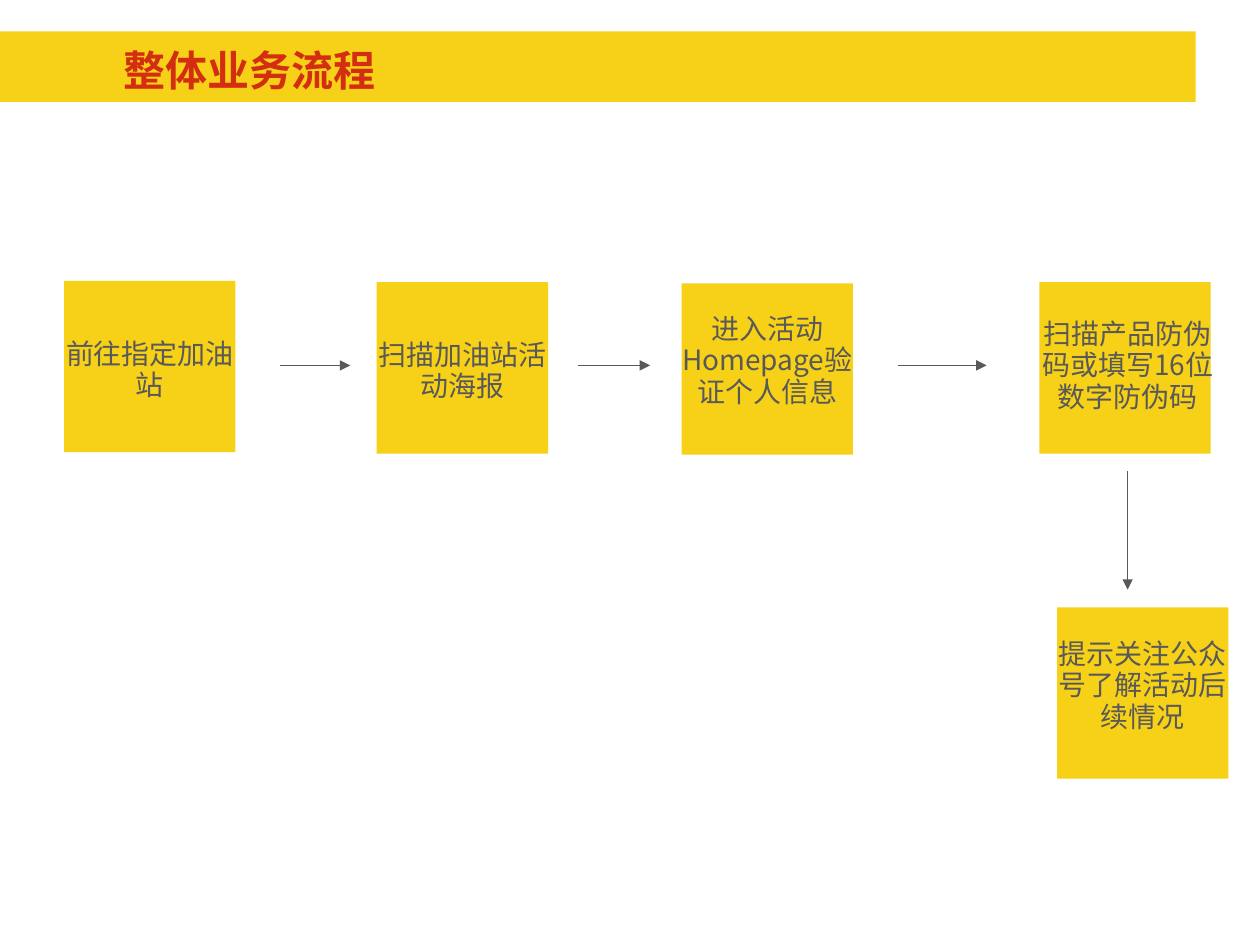
from typing import NamedTuple

from lxml.etree import SubElement
from pptx import Presentation
from pptx.dml.color import RGBColor
from pptx.enum.shapes import MSO_CONNECTOR, MSO_SHAPE
from pptx.enum.text import MSO_ANCHOR, MSO_AUTO_SIZE, PP_ALIGN
from pptx.oxml.ns import qn
from pptx.util import Inches, Pt

COLORS = {"yellow": "F7D117", "red": "D42E12", "gray": "595959"}
TITLE_FONT = "Quicksand"
BODY_FONT = "Noto Sans CJK SC"
STEP_SIZE = 1.36
LABEL_HEIGHT = 0.79
ARROW_Y = 2.9
ARROW_X = 8.95


class Step(NamedTuple):
    left: float
    top: float
    label: str
    label_left: float
    label_top: float
    label_width: float


class Arrow(NamedTuple):
    x1: float
    y1: float
    x2: float
    y2: float


STEPS = [
    Step(0.51, 2.23, "前往指定加油站", 0.51, 2.69, 1.36),
    Step(2.99, 2.24, "扫描加油站活动海报", 3.0, 2.7, 1.34),
    Step(5.41, 2.25, "进入活动Homepage验证个人信息", 5.39, 2.49, 1.4),
    Step(8.25, 2.24, "扫描产品防伪码或填写16位数字防伪码", 8.25, 2.53, 1.4),
    Step(8.39, 4.82, "提示关注公众号了解活动后续情况", 8.37, 5.07, 1.4),
]
ARROWS = [
    Arrow(2.22, ARROW_Y, 2.78, ARROW_Y),
    Arrow(4.59, ARROW_Y, 5.16, ARROW_Y),
    Arrow(7.13, ARROW_Y, 7.83, ARROW_Y),
    Arrow(ARROW_X, 3.74, ARROW_X, 4.68),
]


def rgb(color: str) -> RGBColor:
    return RGBColor.from_string(COLORS[color])


def add_block(slide, left: float, top: float, width: float, height: float):
    block = slide.shapes.add_shape(
        MSO_SHAPE.RECTANGLE, Inches(left), Inches(top), Inches(width), Inches(height)
    )
    block.shadow.inherit = False
    block.fill.solid()
    block.fill.fore_color.rgb = rgb("yellow")
    block.line.fill.background()
    return block


def write_text(frame, text: str, font_name: str, size: int, color: str, bold: bool):
    """Fill a margin-free frame with one paragraph and return that paragraph."""
    frame.margin_left = frame.margin_right = 0
    frame.margin_top = frame.margin_bottom = 0
    frame.word_wrap = True
    frame.auto_size = MSO_AUTO_SIZE.NONE
    paragraph = frame.paragraphs[0]
    paragraph.text = text
    font = paragraph.font
    font.name = font_name
    font.size = Pt(size)
    font.bold = bold
    font.color.rgb = rgb(color)
    return paragraph


def add_title(slide, text: str) -> None:
    title = slide.shapes.title
    title.left, title.top = Inches(0.98), Inches(0.32)
    title.width, title.height = Inches(8.42), Inches(0.46)
    paragraph = write_text(title.text_frame, text, TITLE_FONT, 24, "red", True)
    paragraph.alignment = PP_ALIGN.LEFT
    title.text_frame.vertical_anchor = MSO_ANCHOR.MIDDLE
    band = add_block(slide, 0, 0.25, 9.49, 0.56)
    title.element.addprevious(band.element)


def add_step(slide, step: Step) -> None:
    add_block(slide, step.left, step.top, STEP_SIZE, STEP_SIZE)
    label = slide.shapes.add_textbox(
        Inches(step.label_left), Inches(step.label_top),
        Inches(step.label_width), Inches(LABEL_HEIGHT),
    )
    paragraph = write_text(label.text_frame, step.label, BODY_FONT, 16, "gray", False)
    paragraph.alignment = PP_ALIGN.CENTER
    paragraph.line_spacing = 0.94
    paragraph.space_after = Pt(0.6)


def add_arrow(slide, arrow: Arrow) -> None:
    connector = slide.shapes.add_connector(
        MSO_CONNECTOR.STRAIGHT, *(Inches(value) for value in arrow)
    )
    connector.line.color.rgb = rgb("gray")
    connector.line.width = Pt(0.75)
    properties = connector.element.spPr
    SubElement(properties.find(qn("a:ln")), qn("a:tailEnd"), type="triangle")
    SubElement(properties, qn("a:effectLst"))


def main() -> None:
    deck = Presentation()
    deck.slide_width, deck.slide_height = Inches(10), Inches(7.5)
    slide = deck.slides.add_slide(deck.slide_layouts[5])
    add_title(slide, "整体业务流程")
    for step in STEPS:
        add_step(slide, step)
    for arrow in ARROWS:
        add_arrow(slide, arrow)
    deck.save("out.pptx")


if __name__ == "__main__":
    main()
